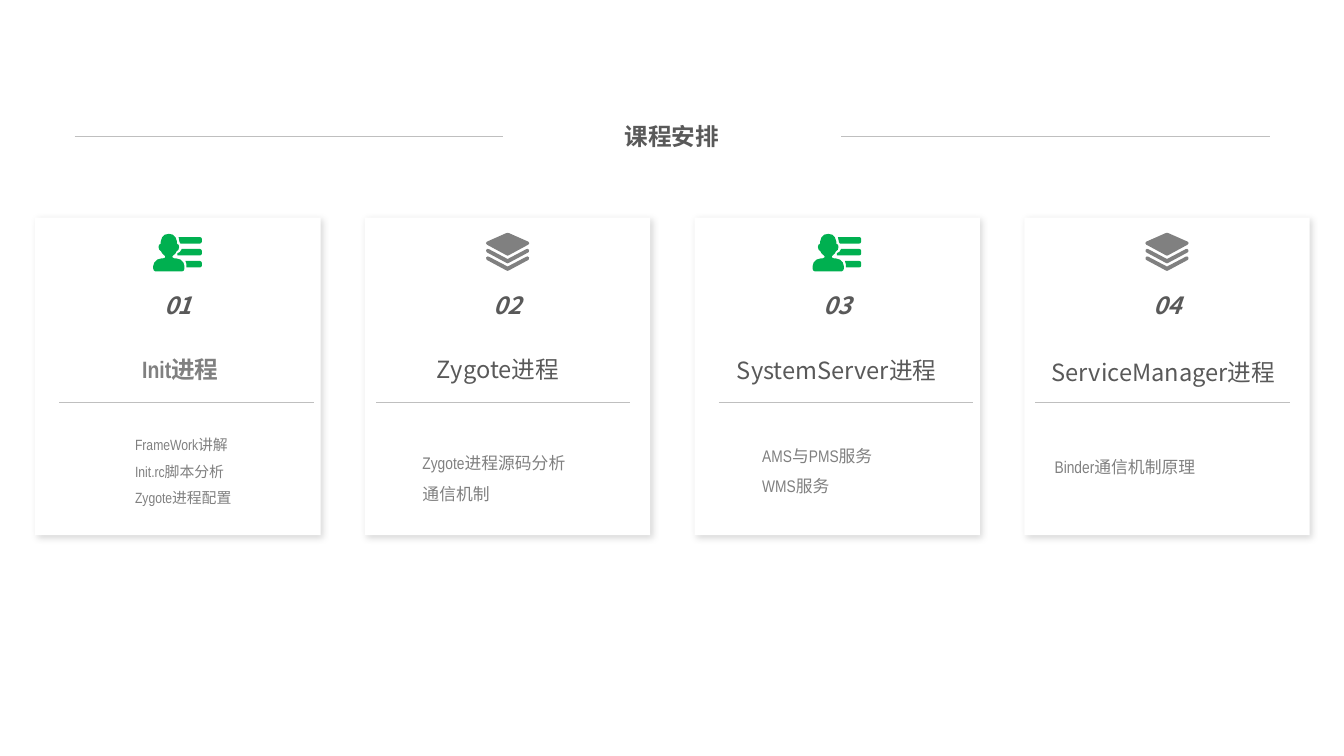
from dataclasses import dataclass

from lxml.etree import SubElement
from pptx import Presentation
from pptx.dml.color import RGBColor
from pptx.enum.shapes import MSO_CONNECTOR as Link, MSO_SHAPE as Form
from pptx.enum.text import MSO_ANCHOR as Anchor, PP_ALIGN as Align
from pptx.oxml.ns import qn
from pptx.util import Inches, Pt


@dataclass(frozen=True)
class Theme:
    white: str = "FFFFFF"
    rule: str = "BFBFBF"
    dark: str = "595959"
    gray: str = "808080"
    green: str = "00B050"
    sans: str = "Noto Sans CJK SC"
    narrow: str = "Arial Narrow"
    head: float = 16.9
    body: float = 12
    small: float = 10.6


class Deck:
    def __init__(self, slide, theme):
        self.shapes = slide.shapes
        self.theme = theme

    def rect(self, x, y, w, h, shade=False):
        box = self.shapes.add_shape(Form.RECTANGLE, Inches(x), Inches(y), Inches(w), Inches(h))
        box.fill.solid()
        box.fill.fore_color.rgb = RGBColor.from_string(self.theme.white)
        box.line.fill.background()
        box.shadow.inherit = False
        if shade:
            effect = box.element.spPr.find(qn("a:effectLst"))
            outer = SubElement(effect, qn("a:outerShdw"), blurRad=str(Pt(5)), dist=str(Pt(2)),
                               dir="2700000", algn="tl", rotWithShape="0")
            color = SubElement(outer, qn("a:srgbClr"), val="000000")
            SubElement(color, qn("a:alpha"), val="15000")
        return box

    def rule(self, x, y, w):
        line = self.shapes.add_connector(Link.STRAIGHT, Inches(x), Inches(y), Inches(x + w), Inches(y))
        line.line.color.rgb = RGBColor.from_string(self.theme.rule)
        line.line.width = Pt(0.25)
        SubElement(line.element.spPr, qn("a:effectLst"))

    def icon(self, x, y, rings, color):
        first, *rest = rings
        pen = self.shapes.build_freeform(*first[0], scale=Inches(1) / 1000)
        pen.add_line_segments(first[1:], close=True)
        for ring in rest:
            pen.move_to(*ring[0])
            pen.add_line_segments(ring[1:], close=True)
        art = pen.convert_to_shape(Inches(x), Inches(y))
        art.fill.solid()
        art.fill.fore_color.rgb = RGBColor.from_string(color)
        art.line.fill.background()
        art.shadow.inherit = False

    def text(self, x, y, w, h, lines, **style):
        box = self.shapes.add_textbox(Inches(x), Inches(y), Inches(w), Inches(h))
        self.label(box, lines, **style)

    def label(self, box, lines, size, color, font, bold=False, slant=False,
              align=Align.CENTER, gap=1.0):
        frame = box.text_frame
        frame.word_wrap = True
        frame.vertical_anchor = Anchor.MIDDLE
        frame.margin_left = frame.margin_right = Inches(0.05)
        frame.margin_top = frame.margin_bottom = Inches(0.03)
        for i, line in enumerate(lines):
            para = frame.add_paragraph() if i else frame.paragraphs[0]
            para.alignment = align
            para.line_spacing = gap
            run = para.add_run()
            run.text = line
            run.font.size = Pt(size)
            run.font.bold = bold
            run.font.italic = slant
            run.font.color.rgb = RGBColor.from_string(color)
            run.font.name = font
            SubElement(run._r.get_or_add_rPr(), qn("a:ea"), typeface=self.theme.sans)


def mirror(half, mid):
    return half + [(2 * mid - x, y) for x, y in reversed(half)]


def bar(y, left):
    cap = [(464, 0), (476, 5), (482, 17), (482, 47), (476, 59), (464, 64)]
    return [(x, y + dy) for x, dy in cap] + left


def band(y):
    edge = [(215, 100), (400, 3), (415, 0), (428, 10), (426, 28), (418, 36), (228, 138), (215, 143)]
    return mirror([(x, y + dy) for x, dy in edge], 215)


BUST = [(155, 0), (195, 8), (222, 35), (235, 75), (237, 100), (252, 108), (257, 130),
        (250, 158), (232, 173), (220, 195), (200, 213), (190, 222), (193, 235), (210, 243),
        (230, 244), (270, 255), (300, 285), (310, 320), (310, 345), (303, 364), (288, 372)]
TOP = [(215, 0), (230, 4), (420, 88), (430, 102), (420, 118), (228, 222), (215, 227)]
USER = [mirror(BUST, 155),
        bar(32, [(270, 96), (261, 80), (252, 32)]),
        bar(150, [(240, 214), (240, 192), (265, 180), (283, 150)]),
        bar(269, [(330, 333), (330, 300), (320, 269)])]
STACK = [mirror(TOP, 215), band(160), band(235)]


def main():
    deck = Presentation()
    deck.slide_width, deck.slide_height = Inches(13.33), Inches(7.5)
    look = Theme()
    page = Deck(deck.slides.add_slide(deck.slide_layouts[6]), look)

    page.rule(0.74, 1.35, 11.86)
    title = page.rect(4.99, 0.99, 3.35, 0.71)
    page.label(title, ["课程安排"], look.head, look.dark, look.sans, bold=True)

    cards = [
        ("Init进程", (0.47, 3.45, 2.64), (1.29, 4.2, 2.27, 0.86),
         ["FrameWork讲解", "Init.rc脚本分析", "Zygote进程配置"]),
        ("Zygote进程", (3.43, 3.45, 3.02), (4.14, 4.33, 3.02, 0.73),
         ["Zygote进程源码分析", "通信机制"]),
        ("SystemServer进程", (6.98, 3.46, 2.64), (7.51, 4.11, 3.02, 1.02),
         ["AMS与PMS服务", "WMS服务"]),
        ("ServiceManager进程", (10.22, 3.48, 2.64), (10.41, 4.37, 2.9, 0.42),
         ["Binder通信机制原理"]),
    ]
    for i, (name, spot, area, notes) in enumerate(cards):
        left = 0.35 + 3.27 * i
        page.rect(left, 2.16, 2.83, 3.15, shade=True)
        if i % 2:
            page.icon(left + 1.2, 2.31, STACK, look.gray)
        else:
            page.icon(left + 1.17, 2.32, USER, look.green)
        page.rule(left + (0.11 if i % 2 else 0.24), 3.99, 2.52)
        page.text(left + 0.44, 2.79, 1.95, 0.48, [f"{i + 1:02}"], size=look.head,
                  color=look.dark, font=look.sans, bold=True, slant=True)
        lead = i == 0
        page.text(*spot, 0.42, [name], size=look.head, bold=lead,
                  color=look.gray if lead else look.dark,
                  font=look.narrow if lead else look.sans)
        page.text(*area, notes, size=look.small if lead else look.body, color=look.gray,
                  font=look.narrow, align=Align.LEFT, gap=1.5)

    deck.save("out.pptx")


if __name__ == "__main__":
    main()
